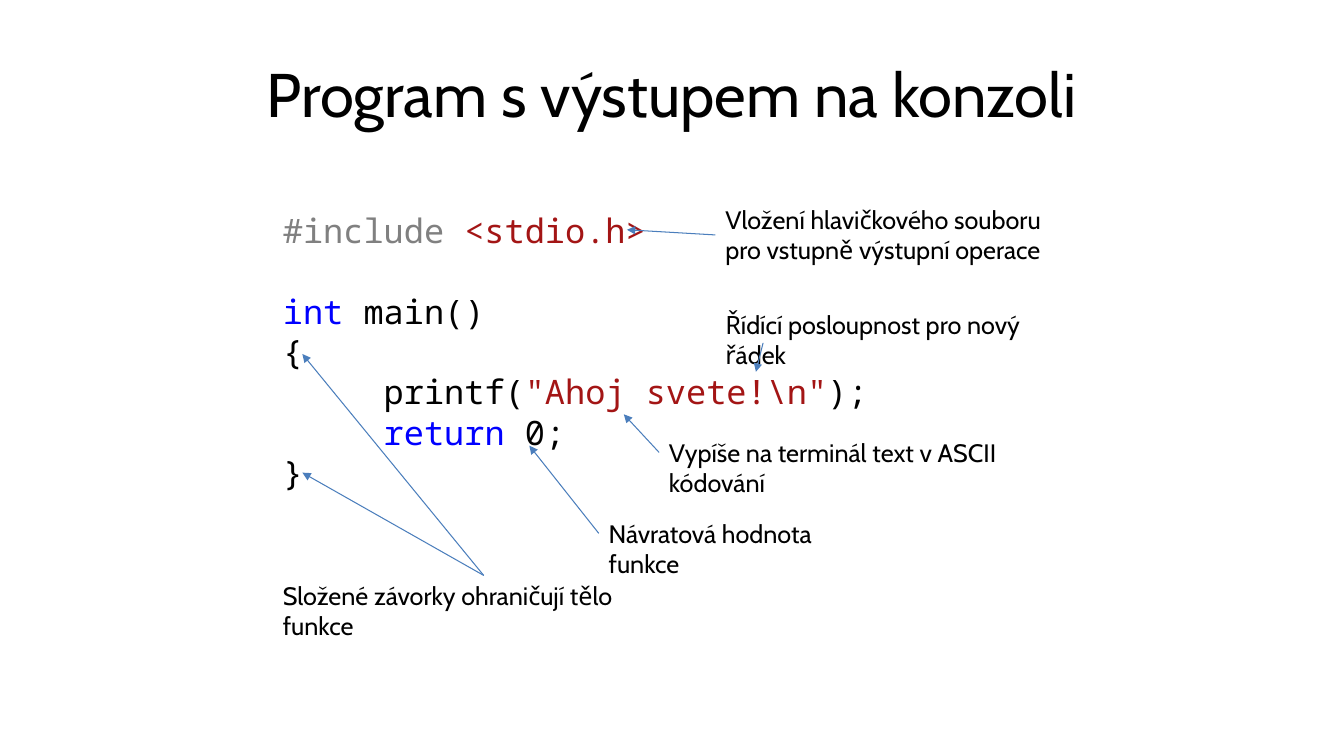
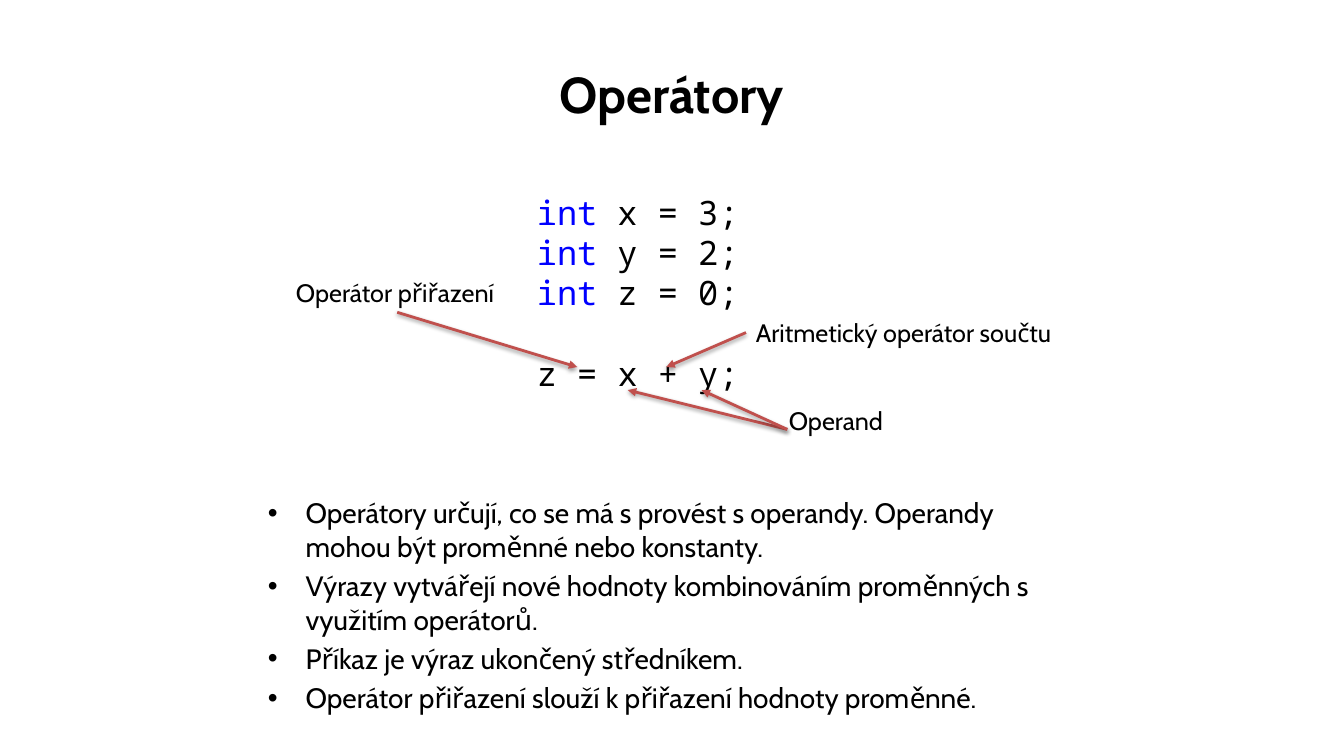
import dataclasses

import lxml.etree
import pptx
import pptx.dml.color
import pptx.enum.dml
import pptx.enum.shapes
import pptx.enum.text
import pptx.oxml.ns
import pptx.util

Cm = pptx.util.Cm
Pt = pptx.util.Pt
qn = pptx.oxml.ns.qn


@dataclasses.dataclass(frozen=True)
class Theme:
    text_font: str = "Cabin"
    code_font: str = "Noto Sans Mono"
    text: str = "000000"
    directive: str = "808080"
    string: str = "A31515"
    keyword: str = "0000FF"
    thin_arrow: str = "4B7EBC"
    bold_arrow: str = "C0504D"
    title_size: int = 44
    small_title_size: int = 36
    code_size: int = 24
    body_size: int = 20
    note_size: int = 18
    code_line: int = 29


def add_xml(parent, tag, **attributes):
    element = lxml.etree.SubElement(parent, qn(tag))
    for name, value in attributes.items():
        element.set(name, str(value))
    return element


class Deck:
    def __init__(self, theme):
        self.theme = theme
        self.presentation = pptx.Presentation()
        self.presentation.slide_width = Cm(33.87)
        self.presentation.slide_height = Cm(19.05)
        self.slide = None

    def add_slide(self, title, size, bold=False):
        layout = self.presentation.slide_layouts[6]
        self.slide = self.presentation.slides.add_slide(layout)
        frame = self.text_frame(1.69, 0.76, 30.48, 3.18)
        frame.vertical_anchor = pptx.enum.text.MSO_ANCHOR.MIDDLE
        paragraph = frame.paragraphs[0]
        paragraph.alignment = pptx.enum.text.PP_ALIGN.CENTER
        self.run(paragraph, title, size, bold=bold)

    def text_frame(self, left, top, width, height):
        shape = self.slide.shapes.add_textbox(Cm(left), Cm(top), Cm(width), Cm(height))
        shape.text_frame.word_wrap = True
        return shape.text_frame

    def run(self, paragraph, text, size, color=None, font=None, bold=False):
        run = paragraph.add_run()
        run.text = text
        formats = {"name": font or self.theme.text_font, "size": Pt(size), "bold": bold}
        for name, value in formats.items():
            setattr(run.font, name, value)
        run.font.color.rgb = pptx.dml.color.RGBColor.from_string(color or self.theme.text)

    def paragraphs(self, frame, items):
        """Yield a paragraph of the frame with each item."""
        for index, item in enumerate(items):
            yield frame.paragraphs[0] if index == 0 else frame.add_paragraph(), item

    def note(self, text, left, top, width, height=1.02):
        paragraph = self.text_frame(left, top, width, height).paragraphs[0]
        self.run(paragraph, text, self.theme.note_size)

    def code(self, blocks, left, top, width, height):
        """Write blocks of code lines, one line apart; a line is (indent level, runs)."""
        theme = self.theme
        lines = [(block > 0 and row == 0, line)
                 for block, rows in enumerate(blocks) for row, line in enumerate(rows)]
        frame = self.text_frame(left, top, width, height)
        for paragraph, (starts_block, (level, runs)) in self.paragraphs(frame, lines):
            if starts_block:
                paragraph.space_before = Pt(theme.code_line)
            if level:
                paragraph._p.get_or_add_pPr().set("marL", str(level * Cm(2.54)))
            for text, color in runs:
                self.run(paragraph, text, theme.code_size, color, theme.code_font)

    def bullets(self, texts, left, top, width, height):
        frame = self.text_frame(left, top, width, height)
        for paragraph, text in self.paragraphs(frame, texts):
            paragraph.space_before = Pt(self.theme.body_size * 0.2)
            properties = paragraph._p.get_or_add_pPr()
            properties.set("marL", str(Cm(0.95)))
            properties.set("indent", str(-Cm(0.95)))
            add_xml(properties, "a:buFont", typeface="Arial")
            add_xml(properties, "a:buChar", char="•")
            self.run(paragraph, text, self.theme.body_size)

    def arrow(self, start, end, color, width, shadow=False):
        connector = self.slide.shapes.add_connector(
            pptx.enum.shapes.MSO_CONNECTOR.STRAIGHT, *map(Cm, (*start, *end)))
        connector.line.color.rgb = pptx.dml.color.RGBColor.from_string(color)
        connector.line.width = Pt(width)
        add_xml(connector.line._get_or_add_ln(), "a:tailEnd", type="triangle")
        effects = add_xml(connector._element.spPr, "a:effectLst")
        if shadow:
            outer = add_xml(effects, "a:outerShdw", blurRad=Pt(3.1), dist=Pt(1.6),
                            dir=5400000, rotWithShape=0)
            shade = add_xml(outer, "a:srgbClr", val="000000")
            add_xml(shade, "a:alpha", val=38000)


def build_console_slide(deck):
    theme = deck.theme
    deck.add_slide("Program s výstupem na konzoli", theme.title_size)
    deck.code([
        [(0, [("#include ", theme.directive), ("<stdio.h>", theme.string)])],
        [(0, [("int", theme.keyword), (" main()", theme.text)]),
         (0, [("{", theme.text)]),
         (1, [("printf(", theme.text), ("\"Ahoj svete!\\n\"", theme.string),
              (");", theme.text)]),
         (1, [("return", theme.keyword), (" 0;", theme.text)]),
         (0, [("}", theme.text)])],
    ], 6.88, 5.16, 20.6, 7.44)
    for text, left, top, width in [
        ("Vložení hlavičkového souboru pro vstupně výstupní operace", 18.03, 5.03, 9.42),
        ("Složené závorky ohraničují tělo funkce", 6.88, 14.5, 10.62),
        ("Vypíše na terminál text v ASCII kódování", 16.61, 10.9, 10.85),
        ("Návratová hodnota funkce", 15.09, 12.93, 7.42),
        ("Řídící posloupnost pro nový řádek", 18.03, 7.67, 9.42),
    ]:
        deck.note(text, left, top, width, 1.8)
    braces = (12.19, 14.5)
    for start, end in [
        ((18.03, 5.92), (15.8, 5.79)),
        (braces, (7.62, 11.91)),
        (braces, (7.62, 8.92)),
        ((16.61, 11.4), (15.72, 10.44)),
        ((15.09, 13.44), (13.34, 11.23)),
        ((19.23, 8.64), (19.05, 9.37)),
    ]:
        deck.arrow(start, end, theme.thin_arrow, 0.75)


def build_operators_slide(deck):
    theme = deck.theme
    deck.add_slide("Operátory", theme.small_title_size, bold=True)
    deck.bullets([
        "Operátory určují, co se má s provést s operandy. "
        "Operandy mohou být proměnné nebo konstanty.",
        "Výrazy vytvářejí nové hodnoty kombinováním proměnných s využitím operátorů.",
        "Příkaz je výraz ukončený středníkem.",
        "Operátor přiřazení slouží k přiřazení hodnoty proměnné.",
    ], 6.5, 12.37, 20.96, 5.28)
    declarations = [(0, [("int", theme.keyword), (f" {name} = {value};", theme.text)])
                    for name, value in [("x", 3), ("y", 2), ("z", 0)]]
    deck.code([declarations, [(0, [("z = x + y;", theme.text)])]],
              13.28, 4.7, 6.35, 5.38)
    deck.note("Aritmetický operátor součtu", 18.8, 7.87, 8.23)
    deck.note("Operátor přiřazení", 7.21, 6.86, 5.56)
    deck.note("Operand", 19.63, 10.08, 3.96)
    operand = (19.84, 10.82)
    for start, end in [
        ((18.8, 8.38), (16.79, 9.25)),
        ((10.01, 7.87), (14.55, 9.25)),
        (operand, (15.82, 9.83)),
        (operand, (17.68, 9.83)),
    ]:
        deck.arrow(start, end, theme.bold_arrow, 2, shadow=True)


def main():
    deck = Deck(Theme())
    build_console_slide(deck)
    build_operators_slide(deck)
    deck.presentation.save("out.pptx")


if __name__ == "__main__":
    main()
